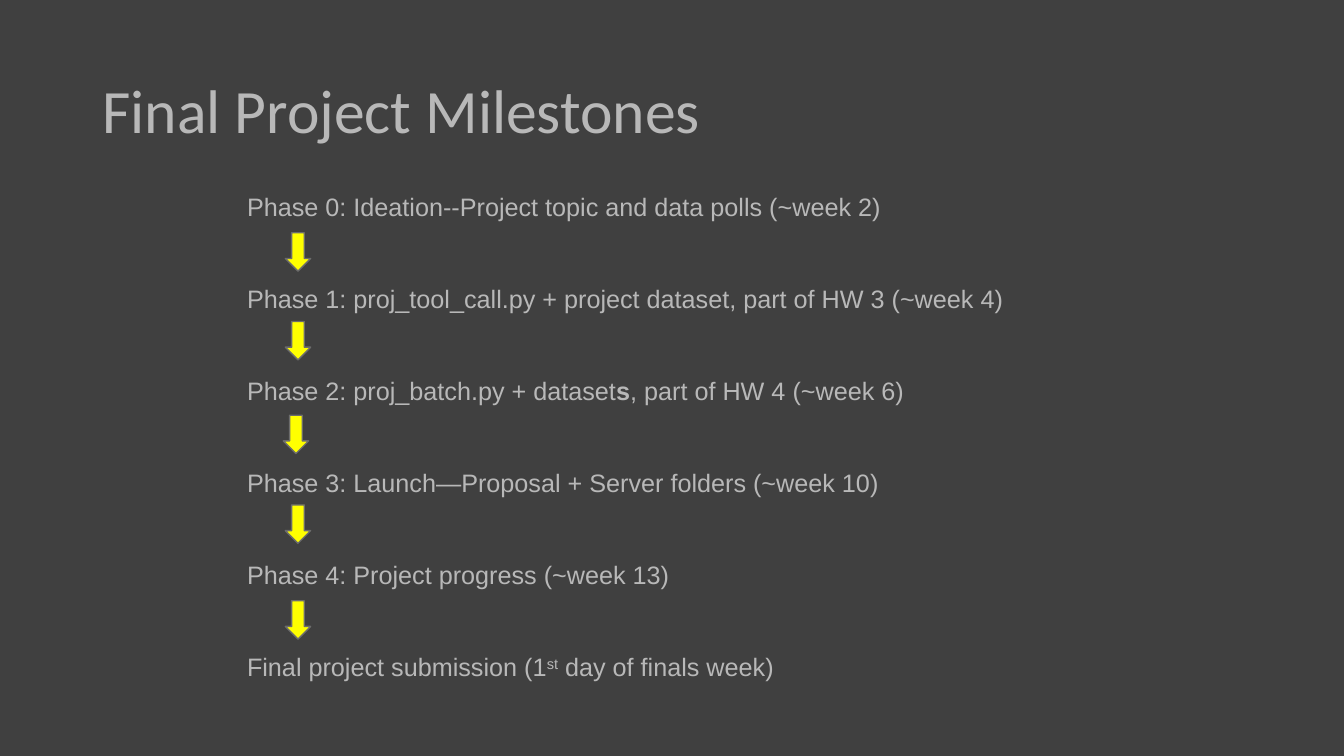
from dataclasses import dataclass

from pptx import Presentation
from pptx.dml.color import RGBColor
from pptx.enum.shapes import MSO_SHAPE
from pptx.enum.text import MSO_ANCHOR, MSO_AUTO_SIZE, PP_ALIGN
from pptx.util import Inches, Pt

DOWN_ARROW = MSO_SHAPE.DOWN_ARROW
TOP, MIDDLE = MSO_ANCHOR.TOP, MSO_ANCHOR.MIDDLE
LEFT = PP_ALIGN.LEFT
NO_AUTOFIT = MSO_AUTO_SIZE.NONE

SLIDE_W, SLIDE_H = Inches(13.333), Inches(7.5)
TITLE_AND_CONTENT = 1


@dataclass(frozen=True)
class Theme:
    background: str = "404040"
    text: str = "B8B8B8"
    arrow: str = "FFFF00"
    outline: str = "6C6C6C"
    heading_font: str = "Calibri"
    body_font: str = "Arial"
    title_size: int = 44
    body_size: int = 18
    phase_gap: float = 44.1


THEME = Theme()

# Each phase is a list of (text, run format)
PHASES = [
    [("Phase 0: Ideation--Project topic and data polls (~week 2)", {})],
    [("Phase 1: proj_tool_call.py + project dataset, part of HW 3 (~week 4)", {})],
    [("Phase 2: proj_batch.py + dataset", {}), ("s", {"bold": True}),
     (", part of HW 4 (~week 6)", {})],
    [("Phase 3: Launch—Proposal + Server folders (~week 10)", {})],
    [("Phase 4: Project progress (~week 13)", {})],
    [("Final project submission (1", {}), ("st", {"raised": True}),
     (" day of finals week)", {})],
]

# Left and top of the arrow after each phase, in percent of the slide
ARROWS = [(21.23, 30.8), (21.23, 42.53), (21.08, 54.93), (21.23, 66.8), (21.23, 79.47)]
ARROW_W, ARROW_H = 1.88, 5.07


def color(name):
    return RGBColor.from_string(name)


def box(x, y, w, h):
    """Turn percentages of the slide into lengths."""
    return [round(share / 100 * side) for share, side in
            zip((x, y, w, h), (SLIDE_W, SLIDE_H, SLIDE_W, SLIDE_H))]


def add_text(p, text, font=THEME.body_font, size=THEME.body_size, bold=False, raised=False):
    r = p.add_run()
    r.text = text
    r.font.name, r.font.size, r.font.bold = font, Pt(size), bold
    r.font.color.rgb = color(THEME.text)
    if raised:
        r.font._element.set("baseline", "30000")


def place(sp, area, anchor):
    sp.left, sp.top, sp.width, sp.height = box(*area)
    tf = sp.text_frame
    tf.word_wrap, tf.auto_size, tf.vertical_anchor = True, NO_AUTOFIT, anchor
    return tf


def format_paragraph(p, line_spacing=1.0, space_after=0):
    p.alignment, p.line_spacing = LEFT, line_spacing
    p.space_before, p.space_after = Pt(0), Pt(space_after)


def remove_bullet(p):
    pPr = p._p.get_or_add_pPr()
    pPr.set("marL", "0")
    pPr.set("indent", "0")
    pPr.append(pPr.makeelement(
        "{http://schemas.openxmlformats.org/drawingml/2006/main}buNone", {}))


def fill_title(sp, text):
    p = place(sp, (6.88, 5.33, 86.25, 19.33), MIDDLE).paragraphs[0]
    format_paragraph(p, line_spacing=0.9)
    add_text(p, text, font=THEME.heading_font, size=THEME.title_size)


def fill_phases(sp, phases):
    tf = place(sp, (17.63, 24.67, 61.28, 66), TOP)
    for i, phase in enumerate(phases):
        p = tf.add_paragraph() if i else tf.paragraphs[0]
        format_paragraph(p, space_after=THEME.phase_gap)
        remove_bullet(p)
        for text, style in phase:
            add_text(p, text, **style)


def add_arrow(s, x, y):
    sp = s.shapes.add_shape(DOWN_ARROW, *box(x, y, ARROW_W, ARROW_H))
    sp.shadow.inherit = False
    sp.fill.solid()
    sp.fill.fore_color.rgb = color(THEME.arrow)
    sp.line.color.rgb = color(THEME.outline)
    sp.line.width = Pt(1)


def main():
    prs = Presentation()
    prs.slide_width, prs.slide_height = SLIDE_W, SLIDE_H
    s = prs.slides.add_slide(prs.slide_layouts[TITLE_AND_CONTENT])

    # Background
    s.background.fill.solid()
    s.background.fill.fore_color.rgb = color(THEME.background)

    # Title and phases
    fill_title(s.shapes.title, "Final Project Milestones")
    fill_phases(s.placeholders[1], PHASES)

    # Arrows between phases
    for x, y in ARROWS:
        add_arrow(s, x, y)

    prs.save("out.pptx")


if __name__ == "__main__":
    main()
